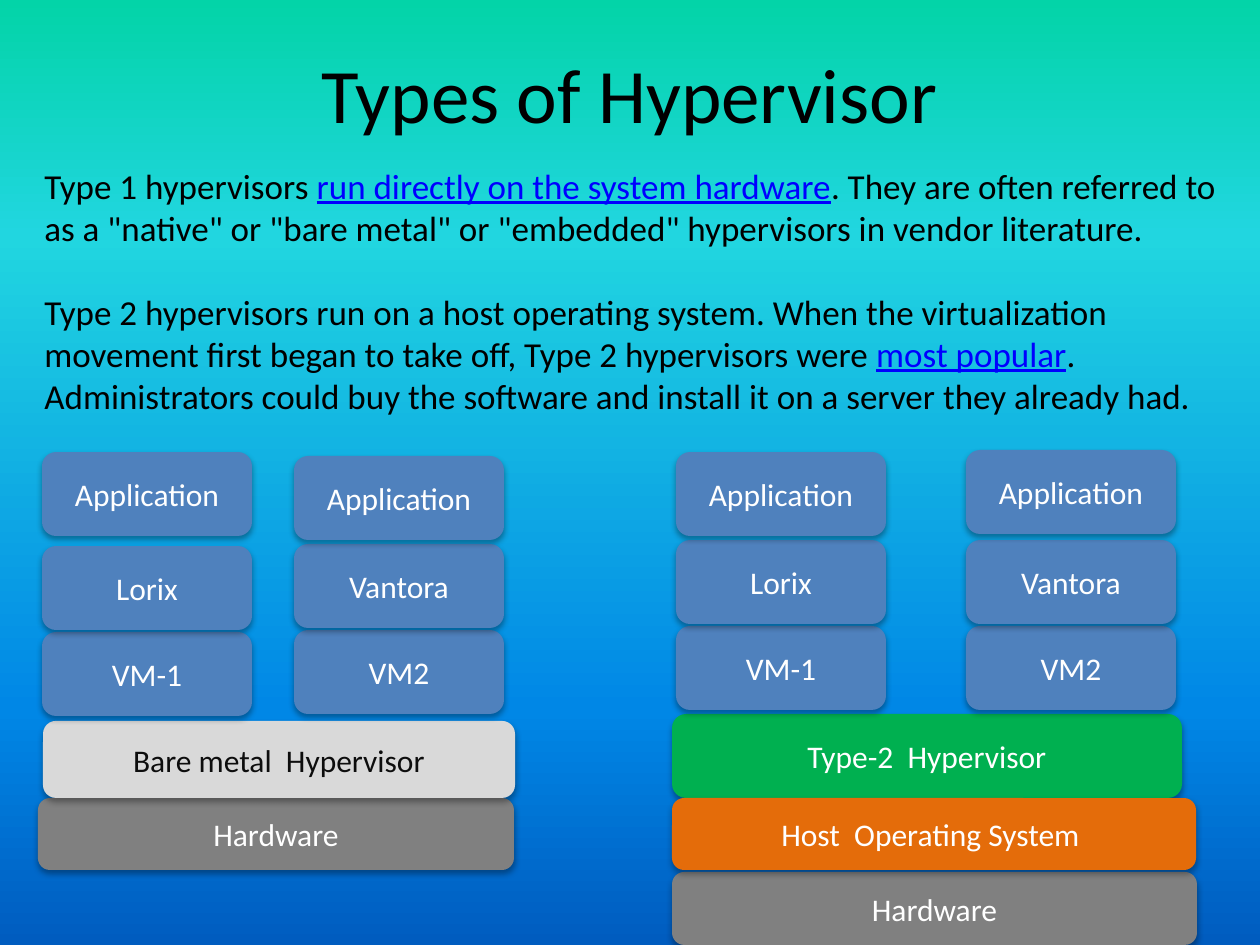
from lxml.etree import SubElement
from pptx import Presentation
from pptx.dml.color import RGBColor
from pptx.enum.shapes import MSO_SHAPE
from pptx.enum.text import MSO_ANCHOR, PP_ALIGN
from pptx.oxml.ns import qn
from pptx.util import Pt

BLACK = RGBColor(0x00, 0x00, 0x00)
NEAR_BLACK = RGBColor(0x0D, 0x0D, 0x0D)
WHITE = RGBColor(0xFF, 0xFF, 0xFF)
LINK_BLUE = RGBColor(0x00, 0x00, 0xFF)
BLUE = RGBColor(0x4F, 0x81, 0xBD)
GRAY = RGBColor(0x80, 0x80, 0x80)
LIGHT_GRAY = RGBColor(0xD9, 0xD9, 0xD9)
GREEN = RGBColor(0x00, 0xB0, 0x50)
ORANGE = RGBColor(0xE4, 0x6C, 0x0A)
SKY = [
    (0, RGBColor(0x03, 0xD4, 0xA8)),
    (25, RGBColor(0x21, 0xD6, 0xE0)),
    (75, RGBColor(0x00, 0x87, 0xE6)),
    (100, RGBColor(0x00, 0x5C, 0xBF)),
]
FONT = "Calibri"
MACHINE_WIDTH, MACHINE_HEIGHT = 210, 84

TYPE_TEXTS = [
    [
        ("Type 1 hypervisors ", False),
        ("run directly on the system hardware", True),
        ('. They are often referred to as a "native" or "bare metal" or '
         '"embedded" hypervisors in vendor literature.', False),
    ],
    [
        ("Type 2 hypervisors run on a host operating system. When the virtualization "
         "movement first began to take off, Type 2 hypervisors were ", False),
        ("most popular", True),
        (". Administrators could buy the software and install it on a server "
         "they already had.", False),
    ],
]


def px(*lengths):
    return [round(length * 914400 / 126) for length in lengths]


def style(span, size, color):
    span.font.name = FONT
    span.font.size = Pt(size)
    span.font.color.rgb = color


def paint_background(page):
    fill = page.background.fill
    fill.gradient()
    fill.gradient_angle = 270
    stops = page.element.find(".//" + qn("a:gsLst"))
    for stop in list(stops):
        stops.remove(stop)
    for percent, color in SKY:
        stop = SubElement(stops, qn("a:gs"), pos=str(percent * 1000))
        SubElement(stop, qn("a:srgbClr"), val=str(color))


def add_title(page, left, top, width, height):
    title = page.shapes.title
    title.left, title.top, title.width, title.height = px(left, top, width, height)
    title.text_frame.text = "Types of Hypervisor"
    title.text_frame.vertical_anchor = MSO_ANCHOR.MIDDLE
    para = title.text_frame.paragraphs[0]
    para.alignment = PP_ALIGN.CENTER
    style(para.runs[0], 44, BLACK)


def add_description(page, left, top, width, height):
    frame = page.shapes.add_textbox(*px(left, top, width, height)).text_frame
    frame.word_wrap = True
    for index, pieces in enumerate(TYPE_TEXTS):
        para = frame.add_paragraph() if index else frame.paragraphs[0]
        para.space_before = Pt(24 * index)
        for text, linked in pieces:
            span = para.add_run()
            span.text = text
            style(span, 20, LINK_BLUE if linked else BLACK)
            span.font.underline = linked


def add_shadow(box):
    box.shadow.inherit = False
    effects = box.element.spPr.find(qn("a:effectLst"))
    shadow = SubElement(effects, qn("a:outerShdw"), blurRad=str(Pt(3.5)),
                        dist=str(Pt(2.2)), dir="5400000", rotWithShape="0")
    color = SubElement(shadow, qn("a:srgbClr"), val=str(BLACK))
    SubElement(color, qn("a:alpha"), val="32000")


def add_layer(page, left, top, width, height, label, fill, color=WHITE):
    box = page.shapes.add_shape(MSO_SHAPE.ROUNDED_RECTANGLE,
                                *px(left, top, width, height))
    box.fill.solid()
    box.fill.fore_color.rgb = fill
    box.line.fill.background()
    add_shadow(box)
    box.text_frame.text = label
    box.text_frame.vertical_anchor = MSO_ANCHOR.MIDDLE
    para = box.text_frame.paragraphs[0]
    para.alignment = PP_ALIGN.CENTER
    style(para.runs[0], 18, color)


def add_machine(page, left, tops, labels):
    for top, label in zip(tops, labels):
        add_layer(page, left, top, MACHINE_WIDTH, MACHINE_HEIGHT, label, BLUE)


def add_type_one(page, left, top):
    add_layer(page, left, top + 348, 476, 72, "Hardware", GRAY)
    add_layer(page, left + 5, top + 271, 472, 77, "Bare metal  Hypervisor",
              LIGHT_GRAY, NEAR_BLACK)
    add_machine(page, left + 4, (top + 182, top + 96, top + 2),
                ("VM-1", "Lorix", "Application"))
    add_machine(page, left + 256, (top + 180, top + 94, top + 6),
                ("VM2", "Vantora", "Application"))


def add_type_two(page, left, top):
    add_layer(page, left, top + 422, 525, 73, "Hardware", GRAY)
    add_layer(page, left, top + 264, 510, 84, "Type-2  Hypervisor", GREEN)
    add_machine(page, left + 4, (top + 176, top + 90, top + 2),
                ("VM-1", "Lorix", "Application"))
    add_machine(page, left + 294, (top + 176, top + 90, top),
                ("VM2", "Vantora", "Application"))
    add_layer(page, left, top + 348, 524, 72, "Host  Operating System ", ORANGE)


def main():
    deck = Presentation()
    deck.slide_width, deck.slide_height = px(1260, 945)
    page = deck.slides.add_slide(deck.slide_layouts[5])
    paint_background(page)
    add_title(page, 63, 38, 1134, 110)
    add_description(page, 32, 158, 1197, 267)
    add_type_one(page, 38, 450)
    add_type_two(page, 672, 450)
    deck.save("out.pptx")


if __name__ == "__main__":
    main()
